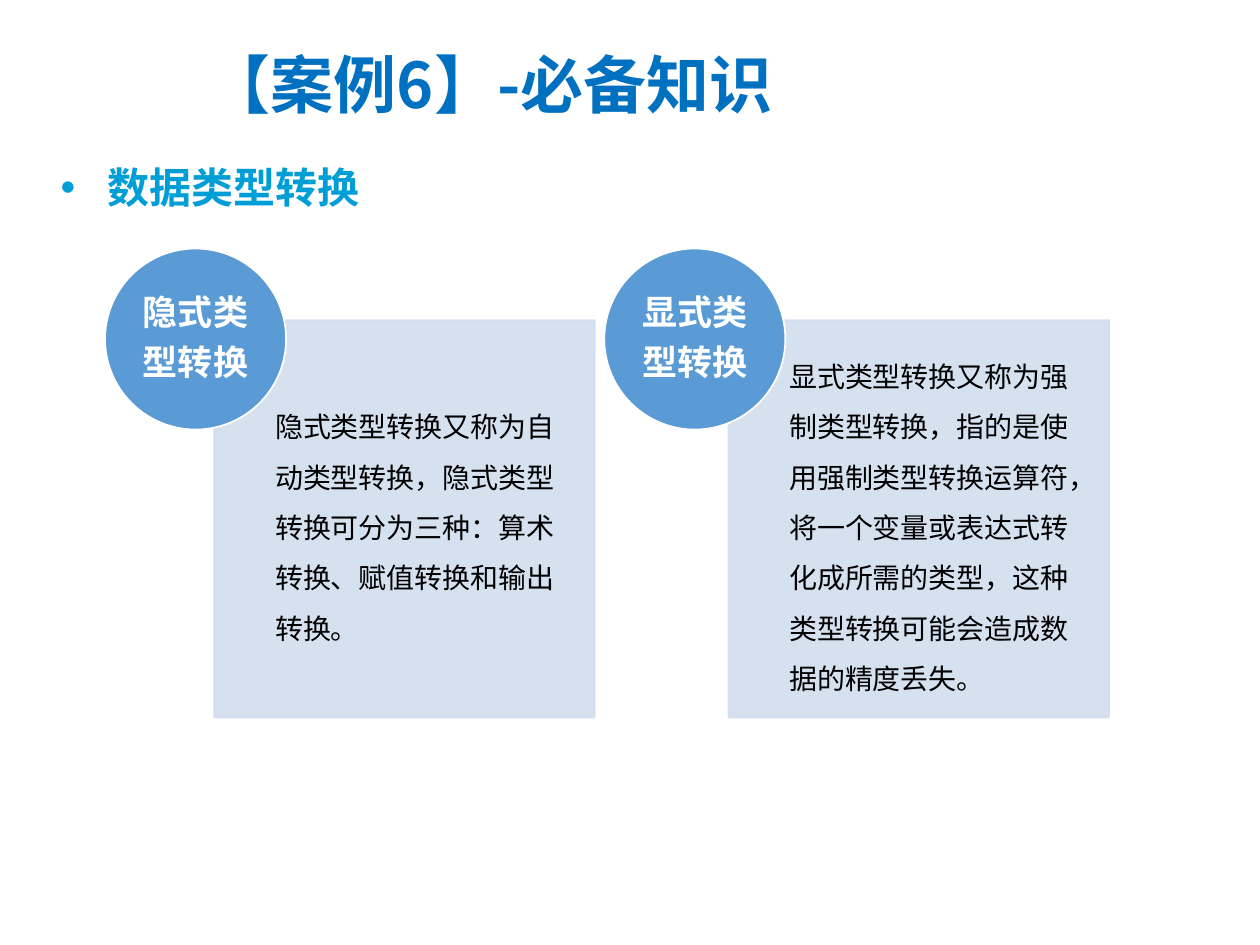
from dataclasses import dataclass

from lxml import etree
from pptx import Presentation
from pptx.dml.color import RGBColor
from pptx.enum.shapes import MSO_SHAPE
from pptx.enum.text import MSO_ANCHOR, MSO_AUTO_SIZE, PP_ALIGN
from pptx.oxml.ns import qn
from pptx.util import Pt

RECTANGLE, OVAL = MSO_SHAPE.RECTANGLE, MSO_SHAPE.OVAL
TOP, MIDDLE = MSO_ANCHOR.TOP, MSO_ANCHOR.MIDDLE
LEFT, CENTER = PP_ALIGN.LEFT, PP_ALIGN.CENTER
NO_AUTOFIT = MSO_AUTO_SIZE.NONE


@dataclass(frozen=True)
class Theme:
    title: str = "0070C0"
    heading: str = "009ED6"
    panel: str = "D2DEEF"
    circle: str = "5B9BD5"
    white: str = "FFFFFF"
    black: str = "000000"
    title_size: int = 36
    heading_size: int = 24
    circle_size: int = 20
    panel_size: int = 16
    east_asian: str = "Noto Sans CJK SC"
    latin: str = "Calibri"
    serif: str = "Times New Roman"


THEME = Theme()

PANEL_TOP, PANEL_WIDTH, PANEL_HEIGHT = 183, 217.5, 227
CIRCLE_TOP, CIRCLE_SIZE = 142, 103.5

# Circle left, panel left, circle lines, panel text
CONVERSIONS = [
    (60, 122.4, ["隐式类", "型转换"],
     "隐式类型转换又称为自动类型转换，隐式类型转换可分为三种：算术转换、赋值转换和输出转换。"),
    (345.3, 416.2, ["显式类", "型转换"],
     "显式类型转换又称为强制类型转换，指的是使用强制类型转换运算符，"
     "将一个变量或表达式转化成所需的类型，这种类型转换可能会造成数据的精度丢失。"),
]


def apply_format(target, values):
    for name, value in values.items():
        setattr(target, name, value)


def place(shape, left, top, width, height):
    apply_format(shape, {"left": Pt(left), "top": Pt(top),
                         "width": Pt(width), "height": Pt(height)})


def write_lines(frame, lines, font, size, color, bold=False, **para_format):
    for index, line in enumerate(lines):
        para = frame.paragraphs[0] if index == 0 else frame.add_paragraph()
        apply_format(para, {"space_before": Pt(0), **para_format})
        span = para.add_run()
        span.text = line
        apply_format(span.font, {"name": font, "size": Pt(size), "bold": bold})
        span.font.color.rgb = RGBColor.from_string(color)
        east_asian = etree.SubElement(span.font._element, qn("a:ea"))
        east_asian.set("typeface", THEME.east_asian)


def add_bullet(para, indent):
    properties = para._p.get_or_add_pPr()
    properties.set("marL", str(Pt(indent)))
    properties.set("indent", str(-Pt(indent)))
    etree.SubElement(properties, qn("a:buFont")).set("typeface", "Arial")
    etree.SubElement(properties, qn("a:buChar")).set("char", "•")


def set_opacity(shape, percent):
    for color in shape._element.spPr.iter(qn("a:srgbClr")):
        etree.SubElement(color, qn("a:alpha")).set("val", str(percent * 1000))


def add_filled_shape(page, kind, bounds, fill, line, insets):
    shape = page.shapes.add_shape(kind, *(Pt(value) for value in bounds))
    shape.shadow.inherit = False
    shape.fill.solid()
    shape.fill.fore_color.rgb = RGBColor.from_string(fill)
    shape.line.color.rgb = RGBColor.from_string(line)
    shape.line.width = Pt(1)
    sides = ("margin_left", "margin_top", "margin_right", "margin_bottom")
    margins = {side: Pt(inset) for side, inset in zip(sides, insets)}
    apply_format(shape.text_frame,
                 {"word_wrap": True, "vertical_anchor": MIDDLE, **margins})
    return shape


def add_panel(page, left, text):
    bounds = (left, PANEL_TOP, PANEL_WIDTH, PANEL_HEIGHT)
    panel = add_filled_shape(page, RECTANGLE, bounds, THEME.panel, THEME.panel,
                             (34.8, 9, 9, 9))
    set_opacity(panel, 90)
    write_lines(panel.text_frame, [text], THEME.latin, THEME.panel_size,
                THEME.black, alignment=LEFT, line_spacing=1.5,
                space_after=Pt(5.6))


def add_circle(page, left, lines):
    bounds = (left, CIRCLE_TOP, CIRCLE_SIZE, CIRCLE_SIZE)
    circle = add_filled_shape(page, OVAL, bounds, THEME.circle, THEME.white,
                              (0, 0, 0, 0))
    write_lines(circle.text_frame, lines, THEME.serif, THEME.circle_size,
                THEME.white, bold=True, alignment=CENTER, line_spacing=0.9,
                space_after=Pt(7))


def fill_title(title):
    place(title, 111.6, 17.3, 405.4, 60.5)
    apply_format(title.text_frame, {"auto_size": NO_AUTOFIT, "word_wrap": True,
                                    "vertical_anchor": MIDDLE})
    write_lines(title.text_frame, ["【案例6】-必备知识"], THEME.east_asian,
                THEME.title_size, THEME.title, bold=True, alignment=LEFT)


def fill_heading(body):
    place(body, 27.4, 74.2, 192, 45.4)
    apply_format(body.text_frame, {"auto_size": NO_AUTOFIT, "word_wrap": True,
                                   "vertical_anchor": TOP})
    add_bullet(body.text_frame.paragraphs[0], 27)
    write_lines(body.text_frame, ["数据类型转换"], THEME.latin,
                THEME.heading_size, THEME.heading, bold=True, line_spacing=1.5)


def main():
    deck = Presentation()
    apply_format(deck, {"slide_width": Pt(720), "slide_height": Pt(540)})
    page = deck.slides.add_slide(deck.slide_layouts[1])

    # Title and heading
    fill_title(page.shapes.title)
    fill_heading(page.placeholders[1])

    # Each conversion: a panel with a circle over its corner
    for circle_left, panel_left, name_lines, text in CONVERSIONS:
        add_panel(page, panel_left, text)
        add_circle(page, circle_left, name_lines)

    deck.save("out.pptx")


if __name__ == "__main__":
    main()
